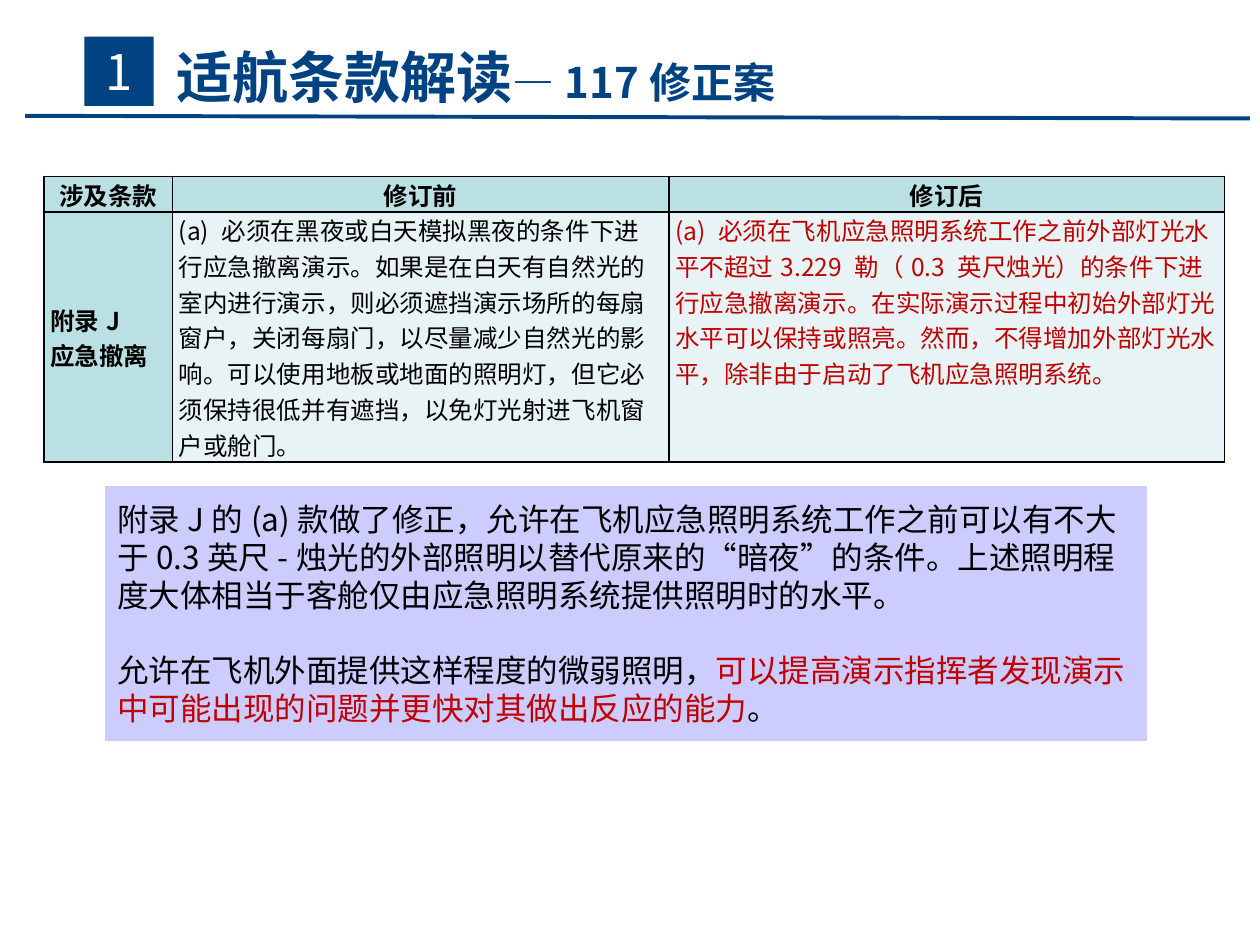
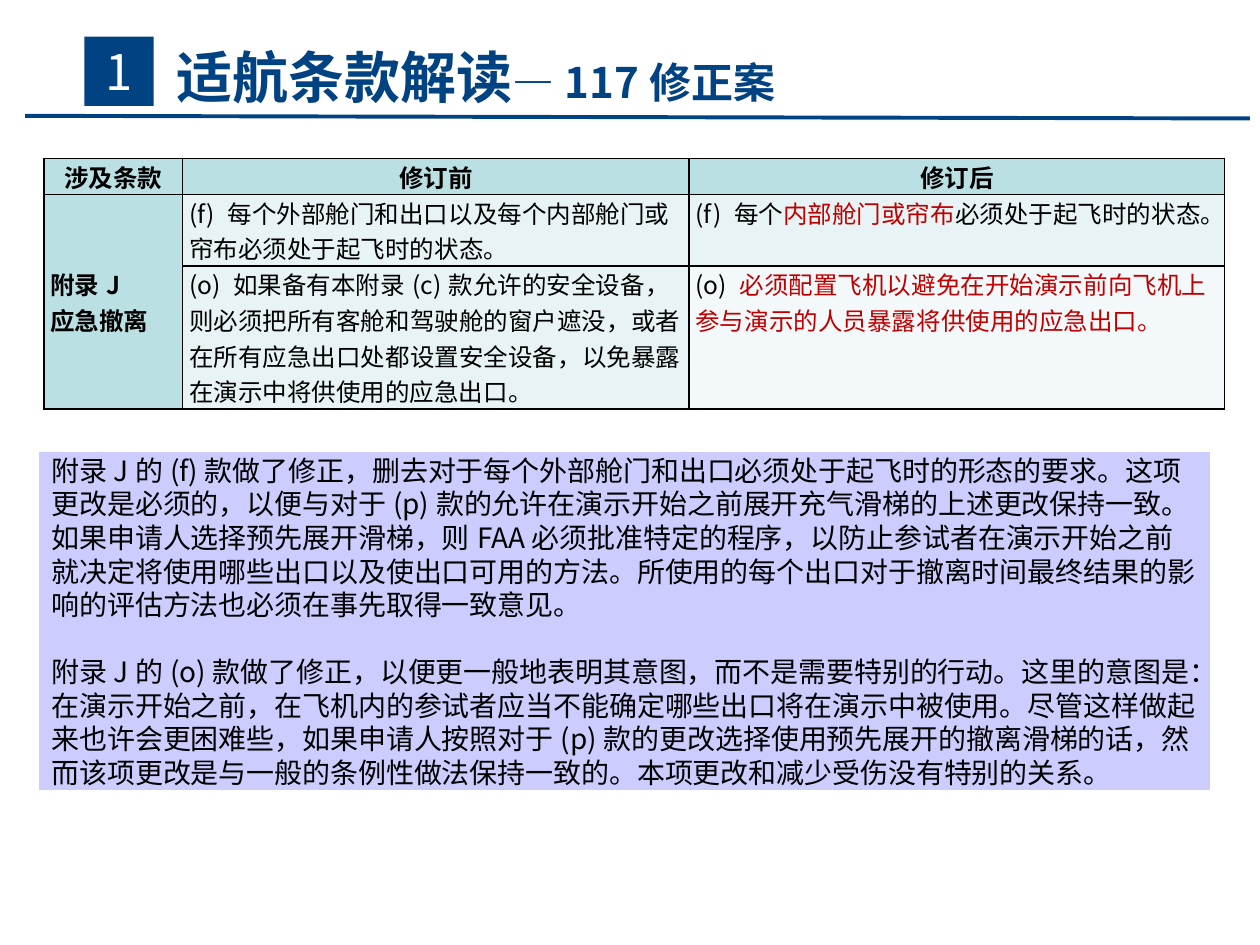
from lxml.etree import SubElement
from pptx import Presentation
from pptx.dml.color import RGBColor
from pptx.enum.shapes import MSO_CONNECTOR, MSO_SHAPE
from pptx.enum.text import MSO_ANCHOR, PP_ALIGN
from pptx.oxml.ns import qn
from pptx.util import Pt

FONT = "Noto Sans CJK SC"
COLORS = {
    "navy": "004282", "white": "FFFFFF", "text": "000000", "red": "C00000",
    "lilac": "CCCCFF", "head": "BBE0E3", "body": "E7F3F4", "pale": "F3F9FA",
}
HEADINGS = ["涉及条款", "修订前", "修订后"]
CLAUSE = [["附录J"], ["应急撤离"]]
TABLE_LEFT = 25.2


def rgb(name):
    """Return the named colour."""
    return RGBColor.from_string(COLORS[name])


def paint(fill, name):
    """Fill solidly with the named colour."""
    fill.solid()
    fill.fore_color.rgb = rgb(name)


def write(tf, paragraphs, size, colors=("text", "red"), bold=False, align=PP_ALIGN.LEFT):
    """Write paragraphs whose runs alternate between two colours."""
    for i, parts in enumerate(paragraphs):
        p = tf.add_paragraph() if i else tf.paragraphs[0]
        p.alignment = align
        for j, text in enumerate(parts):
            if not text:
                continue
            r = p.add_run()
            r.text = text
            r.font.size, r.font.bold, r.font.name = Pt(size), bold, FONT
            r.font.color.rgb = rgb(colors[j % 2])
            SubElement(r._r.get_or_add_rPr(), qn("a:ea"), typeface=FONT)


def add_block(s, kind, box, fill):
    """Add a borderless filled shape and return its text frame."""
    sp = s.shapes.add_shape(kind, *map(Pt, box))
    sp.shadow.inherit = False
    paint(sp.fill, fill)
    sp.line.fill.background()
    tf = sp.text_frame
    tf.word_wrap = True
    tf.vertical_anchor = MSO_ANCHOR.MIDDLE
    return tf


def add_rule(s, layout):
    """Draw the rule under the title and place it on the layout."""
    line = s.shapes.add_connector(MSO_CONNECTOR.STRAIGHT, Pt(14.4), Pt(66.2), Pt(714.2), Pt(67.7))
    line.line.color.rgb = rgb("navy")
    line.line.width = Pt(2.25)
    SubElement(line.element.spPr, qn("a:effectLst"))
    layout.shapes.element.append(line.element)


def add_header(s, number, title, subtitle):
    """Format the title and add the numbered square beside it."""
    sp = s.shapes.title
    sp.left, sp.top, sp.width, sp.height = map(Pt, (93.6, 20.2, 450, 46))
    tf = sp.text_frame
    tf.vertical_anchor = MSO_ANCHOR.MIDDLE
    write(tf, [[title, subtitle]], 32, ("navy", "navy"), bold=True)
    tf.paragraphs[0].runs[1].font.size = Pt(24)
    tf = add_block(s, MSO_SHAPE.RECTANGLE, (48.2, 20.9, 39.6, 39.6), "navy")
    write(tf, [[number]], 28, ("white", "white"), align=PP_ALIGN.CENTER)


def add_borders(cell):
    """Draw thin black lines around a cell, ahead of its fill."""
    tcPr = cell._tc.get_or_add_tcPr()
    for i, side in enumerate(("lnL", "lnR", "lnT", "lnB")):
        ln = SubElement(tcPr, qn(f"a:{side}"), w=str(Pt(1)))
        fill = SubElement(ln, qn("a:solidFill"))
        SubElement(fill, qn("a:srgbClr"), val=COLORS["text"])
        tcPr.insert(i, ln)


def set_cell(cell, paragraphs, fill, bold=False, align=PP_ALIGN.LEFT):
    """Fill, border and write one cell."""
    cell.margin_left = cell.margin_right = Pt(3.6)
    cell.margin_top = cell.margin_bottom = 0
    cell.vertical_anchor = MSO_ANCHOR.MIDDLE if bold else MSO_ANCHOR.TOP
    paint(cell.fill, fill)
    add_borders(cell)
    write(cell.text_frame, paragraphs, 14, bold=bold, align=align)


def add_comparison(s, top, widths, heights, rows, fills):
    """Add the table that sets the old wording beside the new."""
    frame = s.shapes.add_table(len(heights), len(widths), Pt(TABLE_LEFT), Pt(top),
                               Pt(sum(widths)), Pt(sum(heights)))
    table = frame.table
    table.first_row = table.horz_banding = False
    for column, width in zip(table.columns, widths):
        column.width = Pt(width)
    for row, height in zip(table.rows, heights):
        row.height = Pt(height)
    for c, heading in enumerate(HEADINGS):
        set_cell(table.cell(0, c), [[heading]], "head", True, PP_ALIGN.CENTER)
    for i, (before, after) in enumerate(rows, 1):
        set_cell(table.cell(i, 0), CLAUSE if i == 1 else [], "head", True)
        set_cell(table.cell(i, 1), [before], "body")
        set_cell(table.cell(i, 2), [after], fills[i - 1])
    if len(rows) > 1:
        table.cell(1, 0).merge(table.cell(len(rows), 0))


def add_comment(s, box, paragraphs, size):
    """Add the lilac explanation, one line apart between paragraphs."""
    tf = add_block(s, MSO_SHAPE.LINE_CALLOUT_1, box, "lilac")
    write(tf, paragraphs, size)
    for i, p in enumerate(tf.paragraphs):
        p.line_spacing = Pt(size * 1.2)
        p.space_before = Pt(size * 1.2 if i else 0)


PAGES = [
    {
        "table": dict(
            top=100.8, widths=(73.4, 283.7, 317.5), heights=(15.1, 91.4), fills=["body"],
            rows=[(
                ["(a) 必须在黑夜或白天模拟黑夜的条件下进行应急撤离演示。如果是在白天有自然光的室内进行演示，"
                 "则必须遮挡演示场所的每扇窗户，关闭每扇门，以尽量减少自然光的影响。可以使用地板或地面的照明灯，"
                 "但它必须保持很低并有遮挡，以免灯光射进飞机窗户或舱门。"],
                ["", "(a) 必须在飞机应急照明系统工作之前外部灯光水平不超过3.229 勒（0.3 英尺烛光）的条件下"
                 "进行应急撤离演示。在实际演示过程中初始外部灯光水平可以保持或照亮。然而，不得增加外部灯光水平，"
                 "除非由于启动了飞机应急照明系统。"],
            )]),
        "comment": dict(
            box=(59.8, 277.9, 595.4, 145.4), size=18,
            paragraphs=[
                ["附录J的(a)款做了修正，允许在飞机应急照明系统工作之前可以有不大于0.3英尺-烛光的外部照明"
                 "以替代原来的“暗夜”的条件。上述照明程度大体相当于客舱仅由应急照明系统提供照明时的水平。"],
                ["允许在飞机外面提供这样程度的微弱照明，",
                 "可以提高演示指挥者发现演示中可能出现的问题并更快对其做出反应的能力", "。"],
            ]),
    },
    {
        "table": dict(
            top=90.7, widths=(79.2, 289.4, 306), heights=(15.1, 41, 61.2), fills=["body", "pale"],
            rows=[
                (["(f) 每个外部舱门和出口以及每个内部舱门或帘布必须处于起飞时的状态。"],
                 ["(f) 每个", "内部舱门或帘布", "必须处于起飞时的状态。"]),
                (["(o) 如果备有本附录(c)款允许的安全设备，则必须把所有客舱和驾驶舱的窗户遮没，"
                  "或者在所有应急出口处都设置安全设备，以免暴露在演示中将供使用的应急出口。"],
                 ["(o) ", "必须配置飞机以避免在开始演示前向飞机上参与演示的人员暴露将供使用的应急出口。"]),
            ]),
        "comment": dict(
            box=(22.3, 258.5, 668.9, 193), size=16,
            paragraphs=[
                ["附录J的(f)款做了修正，删去对于每个外部舱门和出口必须处于起飞时的形态的要求。这项更改是必须的，"
                 "以便与对于(p)款的允许在演示开始之前展开充气滑梯的上述更改保持一致。如果申请人选择预先展开滑梯，"
                 "则FAA必须批准特定的程序，以防止参试者在演示开始之前就决定将使用哪些出口以及使出口可用的方法。"
                 "所使用的每个出口对于撤离时间最终结果的影响的评估方法也必须在事先取得一致意见。"],
                ["附录J的(o)款做了修正，以便更一般地表明其意图，而不是需要特别的行动。这里的意图是：在演示开始之前，"
                 "在飞机内的参试者应当不能确定哪些出口将在演示中被使用。尽管这样做起来也许会更困难些，"
                 "如果申请人按照对于(p)款的更改选择使用预先展开的撤离滑梯的话，"
                 "然而该项更改是与一般的条例性做法保持一致的。本项更改和减少受伤没有特别的关系。"],
            ]),
    },
]


def main():
    """Build and save both slides."""
    prs = Presentation()
    prs.slide_width, prs.slide_height = Pt(720), Pt(540)
    layout = prs.slide_layouts[5]
    for i, page in enumerate(PAGES):
        s = prs.slides.add_slide(layout)
        if i == 0:
            add_rule(s, layout)
        add_header(s, "1", "适航条款解读", "—117修正案")
        add_comment(s, **page["comment"])
        add_comparison(s, **page["table"])
    prs.save("out.pptx")


if __name__ == "__main__":
    main()
